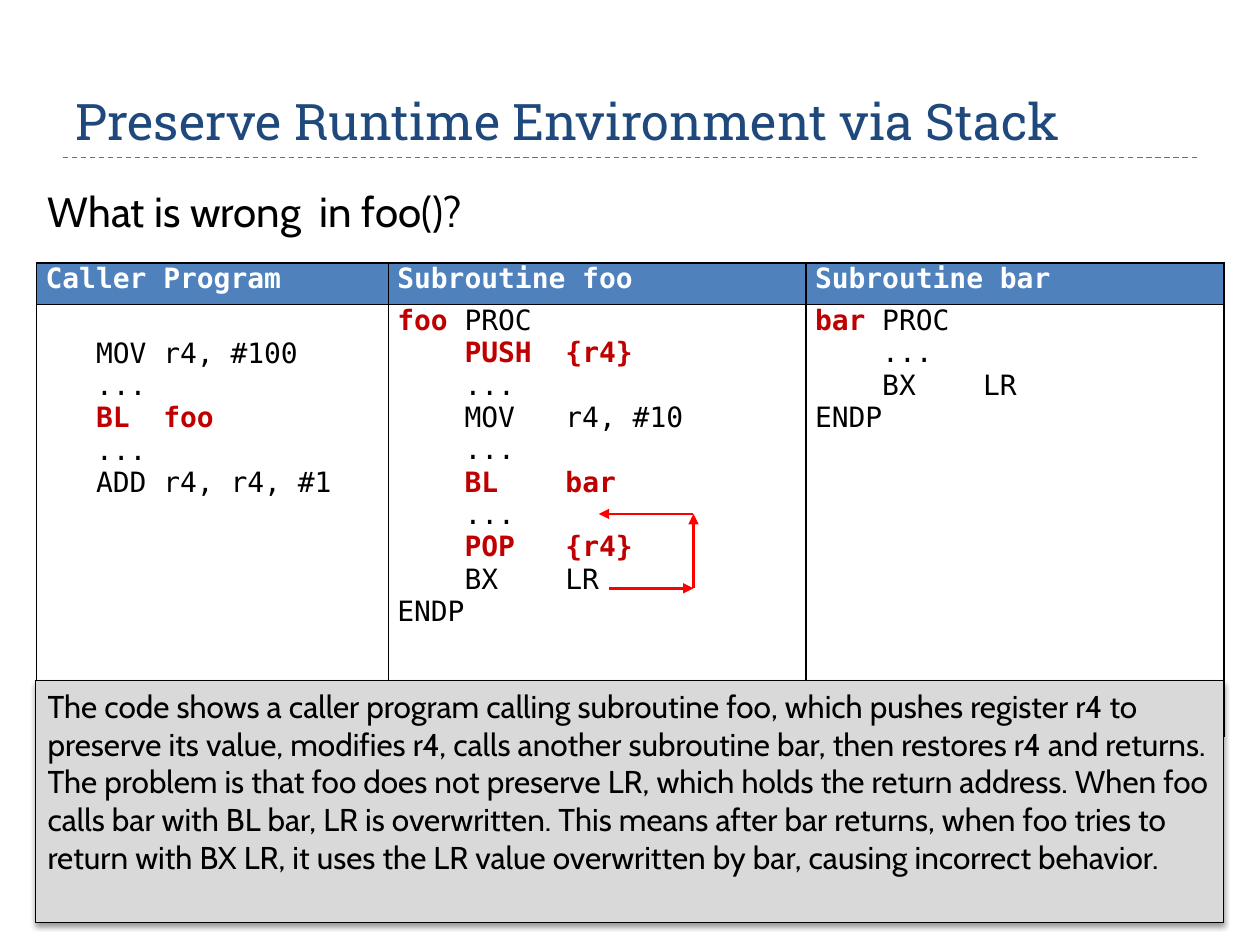
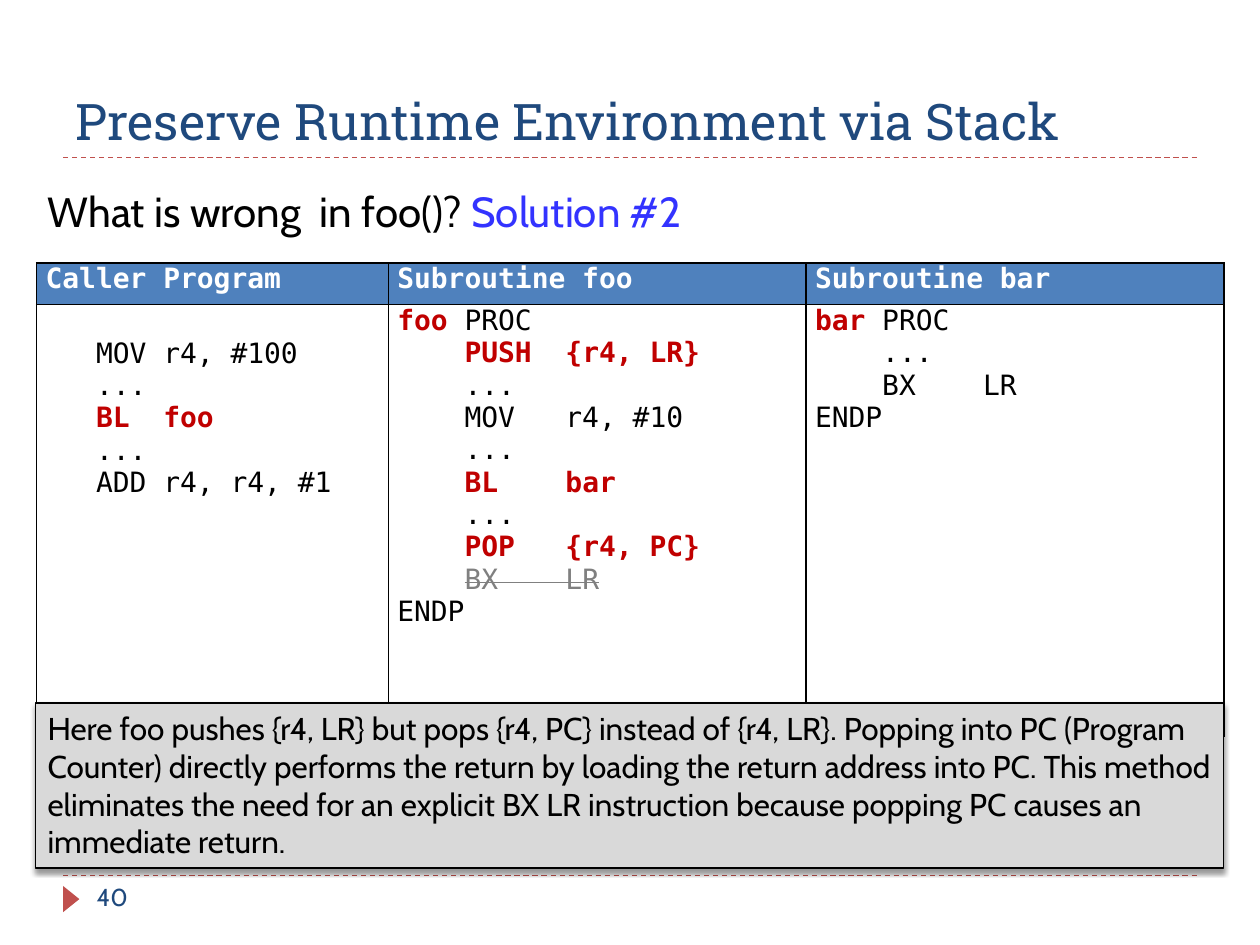
from itertools import pairwise

from lxml import etree
from pptx import Presentation
from pptx import util as u
from pptx.dml.color import RGBColor
from pptx.enum import dml, shapes, text
from pptx.oxml.ns import qn

COLOURS = {
    "navy": "1F497D", "blue": "4F81BD", "violet": "3333FF", "brick": "C0504D",
    "code_red": "C00000", "arrow_red": "FF0000", "black": "000000",
    "grey": "808080", "light_grey": "D9D9D9", "white": "FFFFFF",
}
SANS, MONO, SLAB = "Cabin", "DejaVu Sans Mono", "Roboto Slab"


def style(name, size, colour, bold=False):
    return {"format": {"name": name, "size": u.Pt(size), "bold": bold}, "colour": colour}


STYLES = {
    "title": style(SLAB, 28.8, "navy"),
    "number": style(SANS, 14, "navy"),
    "question": style(SANS, 24, "black"),
    "solution": style(SANS, 24, "violet"),
    "note": style(SANS, 18, "black"),
    "heading": style(MONO, 16, "white", True),
    "code": style(MONO, 16, "black"),
    "key": style(MONO, 16, "code_red", True),
    "struck": style(MONO, 16, "grey"),
}

TITLE = "Preserve Runtime Environment via Stack"
QUESTION = "What is wrong  in foo()?"
HEADINGS = ["Caller Program", "Subroutine foo", "Subroutine bar"]
COLUMN_WIDTHS, ROW_HEIGHTS = [7.09, 8.42, 8.42], [0.84, 8.71]
CODE_LINE = 0.66

# A line of code is a list of (text, style) runs
CALLER = [
    [("   MOV r4, #100", "code")],
    [("   ...", "code")],
    [("   ", "code"), ("BL  foo", "key")],
    [("   ...", "code")],
    [("   ADD r4, r4, #1", "code")],
]
BAR = [
    [("bar", "key"), (" PROC", "code")],
    [("    ...", "code")],
    [("    BX    LR", "code")],
    [("ENDP", "code")],
]


def foo_code(pushed, popped, return_style):
    dots = [("    ...", "code")]
    return [
        [("foo ", "key"), ("PROC", "code")],
        [("    ", "code"), (f"PUSH  {pushed}", "key")],
        dots,
        [("    MOV   r4, #10", "code")],
        dots,
        [("    ", "code"), ("BL    bar", "key")],
        dots,
        [("    ", "code"), (f"POP   {popped}", "key")],
        [("    ", "code"), ("BX    LR", return_style)],
        [("ENDP", "code")],
    ]


def rgb(colour):
    return RGBColor.from_string(COLOURS[colour])


class Deck:
    def __init__(self):
        self.presentation = Presentation()
        self.presentation.slide_width = u.Cm(25.4)
        self.presentation.slide_height = u.Cm(19.05)
        self.slide = None

    def new_slide(self):
        self.slide = self.presentation.slides.add_slide(self.presentation.slide_layouts[6])
        self.rule(3.18)
        title = self.text_box(1.27, 0.43, 22.86, 2.74, [[(TITLE, "title")]])
        title.text_frame.vertical_anchor = text.MSO_ANCHOR.BOTTOM

    def fill_text(self, frame, lines):
        for index, runs in enumerate(lines):
            paragraph = frame.add_paragraph() if index else frame.paragraphs[0]
            paragraph.alignment = text.PP_ALIGN.LEFT
            for content, style_name in runs:
                run = paragraph.add_run()
                run.text = content
                for attribute, value in STYLES[style_name]["format"].items():
                    setattr(run.font, attribute, value)
                run.font.color.rgb = rgb(STYLES[style_name]["colour"])
                if style_name == "struck":
                    run._r.get_or_add_rPr().set("strike", "sngStrike")

    def text_box(self, left, top, width, height, lines, wrap=True):
        shape = self.slide.shapes.add_textbox(*map(u.Cm, (left, top, width, height)))
        shape.text_frame.word_wrap = wrap
        self.fill_text(shape.text_frame, lines)
        return shape

    def question(self, width, runs):
        shape = self.text_box(0.71, 3.61, width, 1.27, [runs], wrap=False)
        shape.text_frame.auto_size = text.MSO_AUTO_SIZE.SHAPE_TO_FIT_TEXT

    def line(self, start, end, colour, width):
        connector = self.slide.shapes.add_connector(
            shapes.MSO_CONNECTOR.STRAIGHT, *map(u.Cm, (*start, *end)))
        connector.line.color.rgb = rgb(colour)
        connector.line.width = u.Pt(width)
        etree.SubElement(connector._element.spPr, qn("a:effectLst"))
        return connector

    def rule(self, top):
        connector = self.line((1.27, top), (24.13, top), "brick", 0.75)
        connector.line.dash_style = dml.MSO_LINE.DASH

    def arrow(self, start, end):
        connector = self.line(start, end, "arrow_red", 1.5)
        outline = connector._element.spPr.find(qn("a:ln"))
        etree.SubElement(outline, qn("a:tailEnd"), type="triangle")

    def shape(self, kind, left, top, width, height, fill):
        shape = self.slide.shapes.add_shape(kind, *map(u.Cm, (left, top, width, height)))
        shape.shadow.inherit = False
        shape.fill.solid()
        shape.fill.fore_color.rgb = rgb(fill)
        shape.line.fill.background()
        return shape

    def footer(self, number):
        self.rule(17.65)
        marker = self.shape(shapes.MSO_SHAPE.ISOSCELES_TRIANGLE, 1.17, 17.96, 0.53, 0.33, "brick")
        marker.rotation = 90
        self.text_box(1.7, 17.65, 5.5, 1.02, [[(number, "number")]])

    def note(self, top, height, paragraphs):
        shape = self.shape(shapes.MSO_SHAPE.RECTANGLE, 0.71, top, 23.95, height, "light_grey")
        shape.line.color.rgb = rgb("black")
        shape.line.width = u.Pt(0.75)
        effects = shape._element.spPr.find(qn("a:effectLst"))
        shadow = etree.SubElement(effects, qn("a:outerShdw"), blurRad=str(u.Pt(3)),
                                  dist=str(u.Pt(2)), dir="5400000", rotWithShape="0")
        colour = etree.SubElement(shadow, qn("a:srgbClr"), val=COLOURS["black"])
        etree.SubElement(colour, qn("a:alpha"), val="40000")
        shape.text_frame.word_wrap = True
        shape.text_frame.vertical_anchor = text.MSO_ANCHOR.TOP
        self.fill_text(shape.text_frame, [[(content, "note")] for content in paragraphs])

    def border(self, cell):
        properties = cell._tc.get_or_add_tcPr()
        for index, side in enumerate(("lnL", "lnR", "lnT", "lnB")):
            outline = etree.Element(qn(f"a:{side}"), w=str(u.Pt(1)))
            fill = etree.SubElement(outline, qn("a:solidFill"))
            etree.SubElement(fill, qn("a:srgbClr"), val=COLOURS["black"])
            properties.insert(index, outline)

    def code_table(self, foo):
        frame = self.slide.shapes.add_table(
            2, 3, u.Cm(0.74), u.Cm(5.3), u.Cm(sum(COLUMN_WIDTHS)), u.Cm(sum(ROW_HEIGHTS)))
        table = frame.table
        table.first_row = table.horz_banding = False
        for column, width in zip(table.columns, COLUMN_WIDTHS):
            column.width = u.Cm(width)
        for row, height in zip(table.rows, ROW_HEIGHTS):
            row.height = u.Cm(height)
        headings = [[[(heading, "heading")]] for heading in HEADINGS]
        for row_index, contents in enumerate((headings, [CALLER, foo, BAR])):
            for column_index, lines in enumerate(contents):
                cell = table.cell(row_index, column_index)
                cell.margin_left = cell.margin_right = u.Cm(0.18)
                cell.margin_top = cell.margin_bottom = 0
                if row_index == 0:
                    cell.fill.solid()
                    cell.fill.fore_color.rgb = rgb("blue")
                else:
                    cell.fill.background()
                self.border(cell)
                self.fill_text(cell.text_frame, lines)
        # The caller's code starts level with the second line of foo
        table.cell(1, 0).margin_top = u.Cm(CODE_LINE)


def main():
    deck = Deck()

    # The problem: LR is lost
    deck.new_slide()
    deck.code_table(foo_code("{r4}", "{r4}", "code"))
    deck.question(8.97, [(QUESTION, "question")])
    return_loop = [(12.27, 11.86), (13.98, 11.86), (13.98, 10.36), (12.07, 10.36)]
    for start, end in pairwise(return_loop):
        deck.arrow(start, end)
    deck.note(13.72, 4.88, [
        "The code shows a caller program calling subroutine foo, which pushes register r4 to "
        "preserve its value, modifies r4, calls another subroutine bar, then restores r4 and "
        "returns.",
        "The problem is that foo does not preserve LR, which holds the return address. "
        "When foo calls bar with BL bar, LR is overwritten. This means after bar returns, "
        "when foo tries to return with BX LR, it uses the LR value overwritten by bar, "
        "causing incorrect behavior.",
    ])

    # The solution: pop straight into PC
    deck.new_slide()
    deck.footer("40")
    deck.code_table(foo_code("{r4, LR}", "{r4, PC}", "struck"))
    deck.question(13.46, [(QUESTION + " ", "question"), ("Solution #2", "solution")])
    deck.note(14.17, 3.33, [
        "Here foo pushes {r4, LR} but pops {r4, PC} instead of {r4, LR}. Popping into PC "
        "(Program Counter) directly performs the return by loading the return address into "
        "PC. This method eliminates the need for an explicit BX LR instruction because "
        "popping PC causes an immediate return.",
    ])

    deck.presentation.save("out.pptx")


if __name__ == "__main__":
    main()
